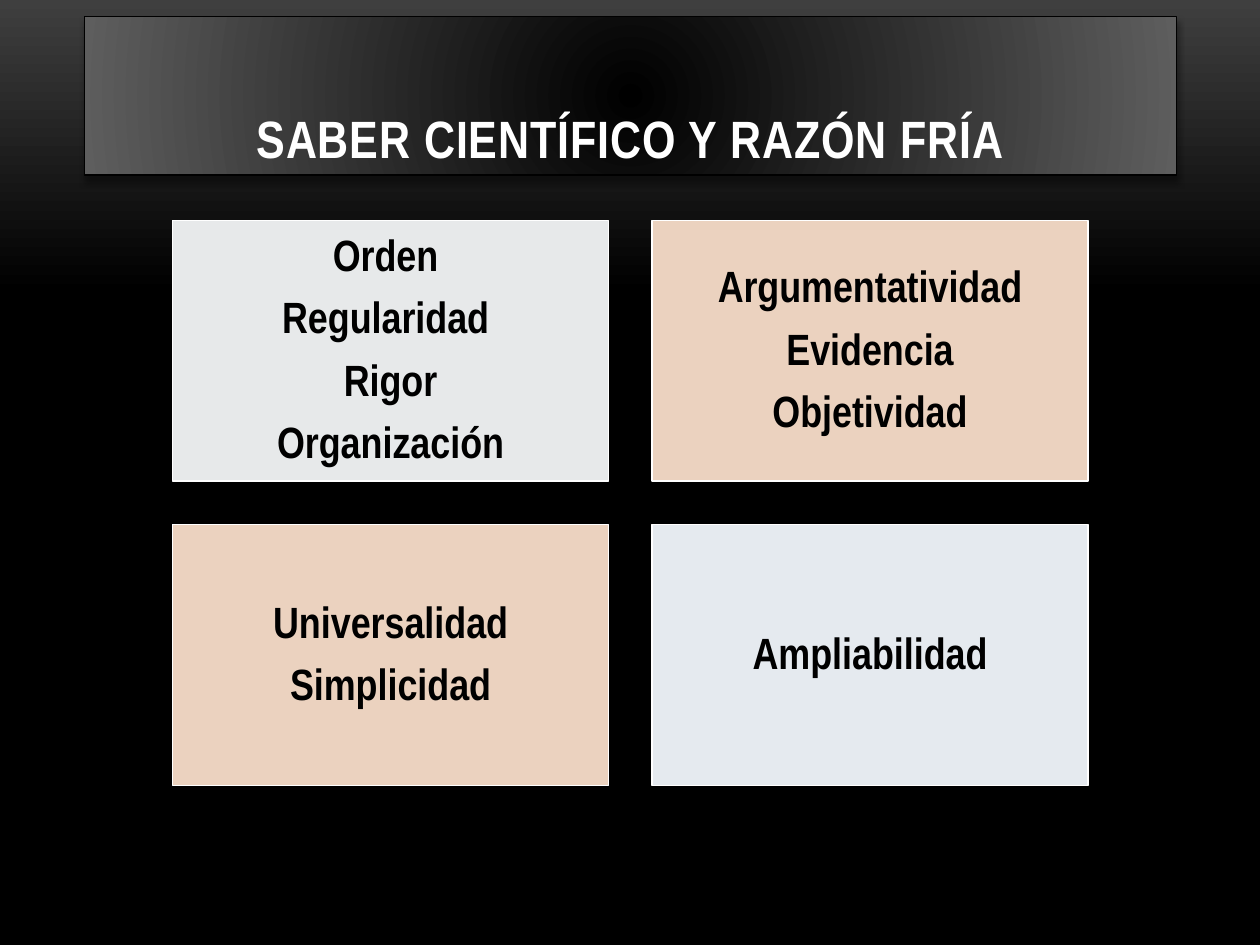
import dataclasses
import typing

import pptx
import pptx.dml.color
import pptx.enum.shapes
import pptx.enum.text
import pptx.oxml
import pptx.oxml.ns
import pptx.util
from lxml import etree

Inches, Pt = pptx.util.Inches, pptx.util.Pt
qn = pptx.oxml.ns.qn
RGB = pptx.dml.color.RGBColor.from_string
Anchor = pptx.enum.text.MSO_ANCHOR
CENTER = pptx.enum.text.PP_ALIGN.CENTER


@dataclasses.dataclass(frozen=True)
class Theme:
    font: str = "Arial Narrow"
    head: float = 30
    body: float = 25
    light: str = "FFFFFF"
    dark: str = "000000"
    gray: str = "E7E9EA"
    peach: str = "EBD2BF"
    blue: str = "E5EAEF"
    glow: str = "3F3F3F"
    edge: str = "5E5E5E"


@dataclasses.dataclass(frozen=True)
class Grid:
    left: float = 1.37
    top: float = 1.75
    width: float = 3.46
    height: float = 2.07
    gap: float = 0.345

    def place(self, col: int, row: int) -> list[int]:
        return [Inches(v) for v in (
            self.left + col * (self.width + self.gap),
            self.top + row * (self.height + self.gap),
            self.width, self.height)]


@dataclasses.dataclass(frozen=True)
class Card:
    col: int
    row: int
    fill: str
    lines: tuple[str, ...]


THEME = Theme()
GRID = Grid()
CARDS = (
    Card(0, 0, THEME.gray, ("Orden ", "Regularidad ", " Rigor ", "Organización")),
    Card(1, 0, THEME.peach, ("Argumentatividad", " Evidencia ", "Objetividad")),
    Card(0, 1, THEME.peach, ("Universalidad", "Simplicidad")),
    Card(1, 1, THEME.blue, ("Ampliabilidad",)),
)
LINEAR = '<a:lin ang="5400000" scaled="0"/>'
RADIAL = ('<a:path path="circle"><a:fillToRect l="50000" t="50000" '
          'r="50000" b="50000"/></a:path>')
SHADOW = ('<a:outerShdw blurRad="50800" dist="43180" dir="5400000" '
          'rotWithShape="0"><a:srgbClr val="{}"><a:alpha val="40000"/>'
          '</a:srgbClr></a:outerShdw>')


def node(tag: str, inner: str) -> typing.Any:
    space = pptx.oxml.ns.nsdecls("a")
    return pptx.oxml.parse_xml(f"<a:{tag} {space}>{inner}</a:{tag}>")


def blend(owner: typing.Any, root: typing.Any,
          stops: tuple[tuple[int, str], ...], shade: str) -> None:
    """Give owner a gradient; root is the element that holds its fill."""
    owner.fill.gradient()
    old = root.find(".//" + qn("a:gradFill"))
    marks = "".join(f'<a:gs pos="{pos * 1000}"><a:srgbClr val="{hue}"/></a:gs>'
                    for pos, hue in stops)
    old.getparent().replace(old, node("gradFill", f"<a:gsLst>{marks}</a:gsLst>{shade}"))


def outline(shape: typing.Any, hue: str, width: float) -> None:
    shape.line.color.rgb = RGB(hue)
    shape.line.width = Pt(width)


def style(para: typing.Any, size: float, hue: str) -> None:
    para.alignment = CENTER
    for run in para.runs:
        for key, value in {"name": THEME.font, "size": Pt(size), "bold": True}.items():
            setattr(run.font, key, value)
        run.font.color.rgb = RGB(hue)


def draw_title(slide: typing.Any) -> None:
    title = slide.shapes.title
    box = {"left": 0.67, "top": 0.13, "width": 8.67, "height": 1.26}
    for key, value in box.items():
        setattr(title, key, Inches(value))
    blend(title, title.element, ((0, THEME.dark), (100, THEME.edge)), RADIAL)
    outline(title, THEME.dark, 0.75)
    title.element.spPr.append(node("effectLst", SHADOW.format(THEME.dark)))
    frame = title.text_frame
    frame.text = "SABER CIENTÍFICO Y RAZÓN FRÍA"
    frame.auto_size = pptx.enum.text.MSO_AUTO_SIZE.NONE
    frame.vertical_anchor = Anchor.BOTTOM
    para = frame.paragraphs[0]
    style(para, THEME.head, THEME.light)
    para.runs[0].font._element.set("spc", "50")


def draw_card(slide: typing.Any, card: Card) -> None:
    kind = pptx.enum.shapes.MSO_SHAPE.RECTANGLE
    shape = slide.shapes.add_shape(kind, *GRID.place(card.col, card.row))
    shape.shadow.inherit = False
    shape.fill.solid()
    shape.fill.fore_color.rgb = RGB(card.fill)
    outline(shape, THEME.light, 0.85)
    frame = shape.text_frame
    frame.text = "\n".join(card.lines)
    frame.word_wrap = True
    frame.vertical_anchor = Anchor.MIDDLE
    for side in ("left", "top", "right", "bottom"):
        setattr(frame, f"margin_{side}", Inches(0.1))
    for para in frame.paragraphs:
        style(para, THEME.body, THEME.dark)
        para.line_spacing = 0.9
        after = etree.SubElement(para._p.pPr, qn("a:spcAft"))
        etree.SubElement(after, qn("a:spcPct")).set("val", "35000")


def main() -> None:
    deck = pptx.Presentation()
    deck.slide_width, deck.slide_height = Inches(10), Inches(7.5)
    slide = deck.slides.add_slide(deck.slide_layouts.get_by_name("Title Only"))
    blend(slide.background, slide.element,
          ((0, THEME.glow), (31, THEME.dark), (100, THEME.dark)), LINEAR)
    draw_title(slide)
    for card in CARDS:
        draw_card(slide, card)
    deck.save("out.pptx")


if __name__ == "__main__":
    main()
